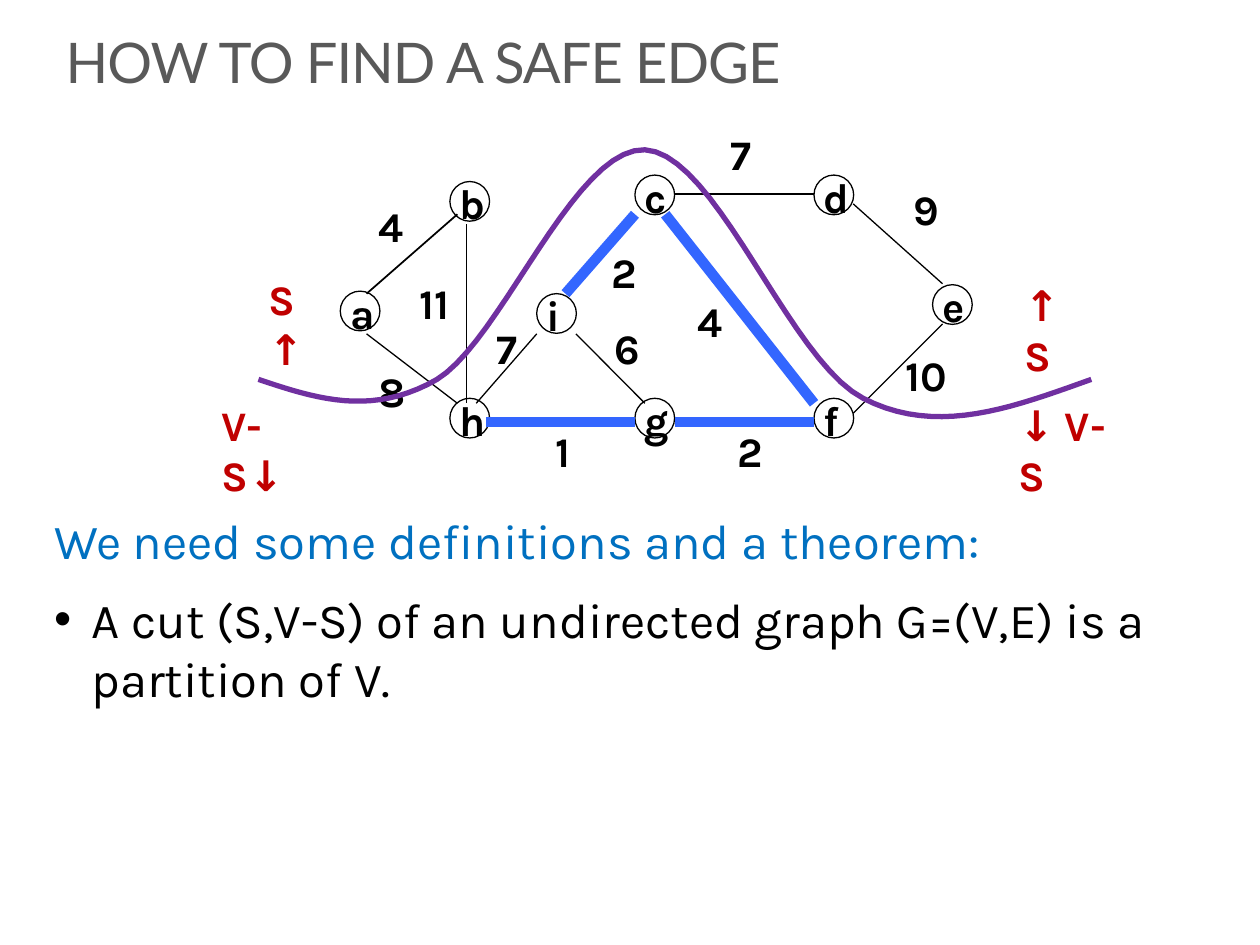
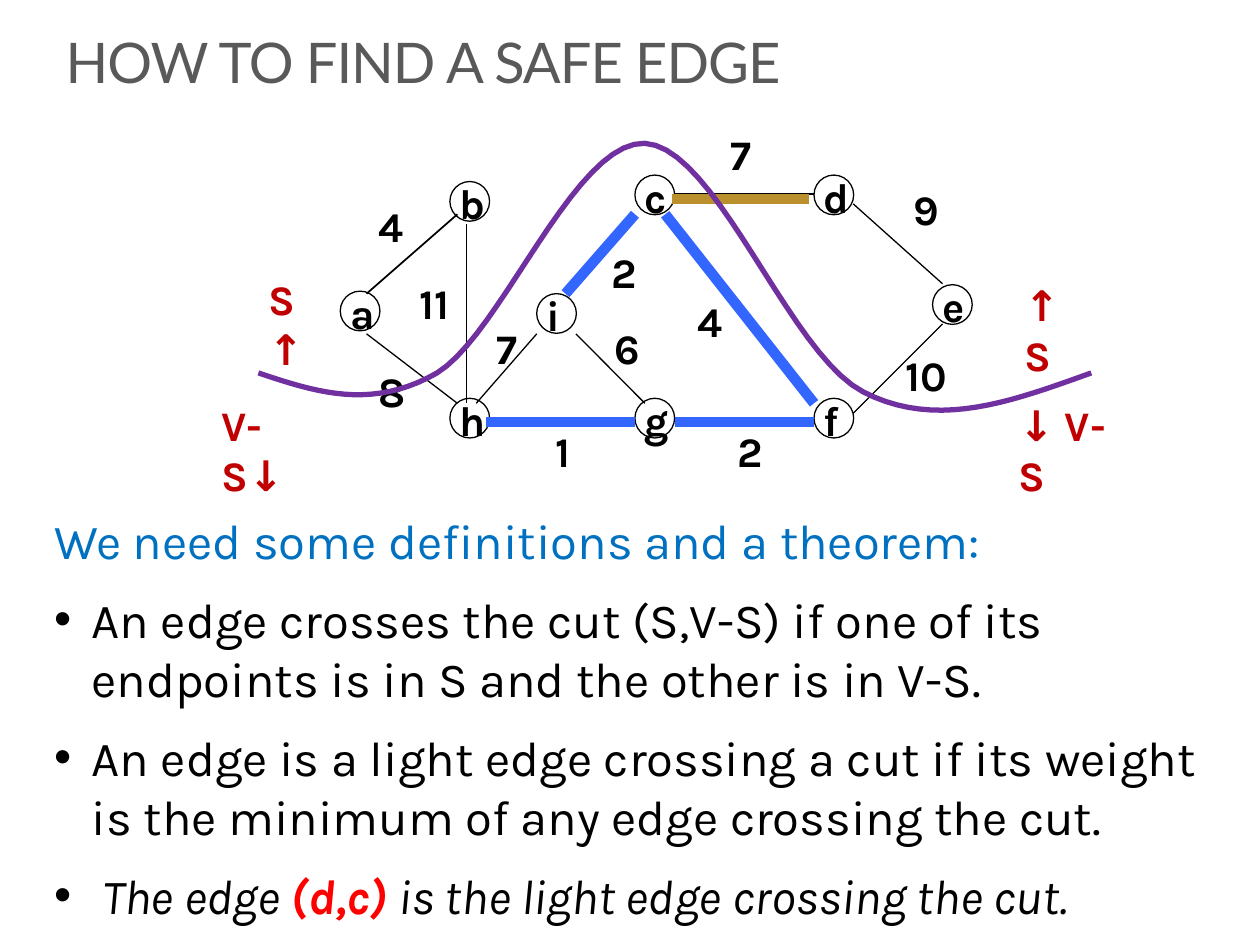
from lxml import etree
from pptx import Presentation
from pptx import util as u
from pptx.dml.color import RGBColor
from pptx.enum import shapes, text
from pptx.oxml import ns

Cm, Pt = u.Cm, u.Pt
colour = RGBColor.from_string
BLACK, GREY, RED, BLUE = "000000", "595959", "C00000", "0070C0"
TREE, LIGHT, CUT, ACCENT = "3366FF", "BA8F2D", "7030A0", "FF0000"

# The graph, in centimetres: top left corner of each vertex
DIAMETER = 0.8
vertices = {
    "a": (6.86, 5.87), "b": (9.07, 3.66), "c": (12.8, 3.53),
    "d": (16.41, 3.53), "e": (18.8, 5.74), "f": (16.41, 8.03),
    "g": (12.8, 8.03), "h": (9.07, 8.03), "i": (10.82, 5.92),
}

# Edges: start, end, colour, width
edges = [
    (7.39, 5.92, 9.22, 4.32, BLACK, 1),
    (7.39, 6.73, 9.22, 8.13, BLACK, 0.75),
    (9.4, 4.52, 9.4, 8.13, BLACK, 0.75),
    (9.8, 8.51, 12.8, 8.51, TREE, 6),
    (13.61, 8.51, 16.41, 8.51, TREE, 6),
    (13.41, 4.32, 16.41, 8.13, TREE, 6),
    (13.61, 3.91, 16.41, 3.91, BLACK, 0.75),
    (17.2, 4.11, 19, 5.72, BLACK, 0.75),
    (17.2, 8.33, 19, 6.53, BLACK, 0.75),
    (11.61, 6.73, 13, 8.13, BLACK, 0.75),
    (9.6, 8.13, 10.82, 6.73, BLACK, 0.75),
    (11.4, 5.92, 12.8, 4.32, TREE, 6),
]
light_edge = (13.54, 4.01, 16.31, 4.01, LIGHT, 6)

# Labels: text, left, top, width, colour
labels = [(name, x - 0.05, y - 0.2, 1, BLACK) for name, (x, y) in vertices.items()]
labels += [
    ("4", 7.39, 3.91, 1, BLACK), ("7", 14.48, 2.46, 1, BLACK),
    ("9", 18.16, 3.58, 1, BLACK), ("10", 18.01, 6.93, 1.5, BLACK),
    ("4", 13.82, 5.84, 1, BLACK), ("2", 12.07, 4.85, 1, BLACK),
    ("2", 14.61, 8.46, 1, BLACK), ("6", 12.14, 6.38, 1, BLACK),
    ("1", 10.95, 8.46, 1, BLACK), ("7", 9.75, 6.38, 1, BLACK),
    ("11", 8.2, 5.46, 1.5, BLACK), ("8", 7.39, 7.24, 1, BLACK),
    ("V-S↓", 4.22, 7.92, 2.31, RED), ("S↑", 5.16, 5.38, 1.4, RED),
    ("↑ S", 20.4, 5.51, 1.63, RED), ("↓ V-S", 20.29, 7.92, 2.57, RED),
]

# The cut: a start point, then two control points and an end for each curve
cut_points = [
    (5.21, 7.65), (6.35, 8.03), (7.49, 8.41), (8.81, 7.65),
    (10.11, 6.86), (11.58, 2.97), (13, 3.02),
    (14.45, 3.1), (15.9, 7.26), (17.4, 8.03),
    (18.9, 8.81), (20.45, 8.2), (22, 7.65),
]
STEPS = 20

# What differs by slide: bullets as lists of (text, format), cut shift, extra edges
pages = [
    ([[("A cut (S,V-S) of an undirected graph G=(V,E) is a partition of V.", {})]],
     0, []),
    ([[("An edge crosses the cut (S,V-S) if one of its endpoints is in S "
        "and the other is in V-S.", {})],
      [("An edge is a light edge crossing a cut if its weight is the minimum "
        "of any edge crossing the cut.", {})],
      [(" The edge ", {"italic": True}),
       ("(d,c)", {"italic": True, "bold": True, "ink": ACCENT}),
       (" is the light edge crossing the cut.", {"italic": True})]],
     -0.13, [light_edge]),
]


def write(para, words, size=28, ink=BLACK, face="Karla", bold=False, italic=False):
    span = para.add_run()
    span.text = words
    font = span.font
    font.name, font.size, font.bold, font.italic = face, Pt(size), bold, italic
    font.color.rgb = colour(ink)
    return span


def stroke(shape, ink, width):
    shape.line.color.rgb = colour(ink)
    shape.line.width = Pt(width)
    etree.SubElement(shape._element.spPr, ns.qn("a:effectLst"))


deck = Presentation()
deck.slide_width, deck.slide_height = Cm(25.4), Cm(19.05)

for bullets, cut_shift, extra_edges in pages:
    page = deck.slides.add_slide(deck.slide_layouts[5])

    # Title
    title = page.shapes.title
    title.left, title.top, title.width, title.height = Cm(1.07), Cm(0.43), Cm(21.16), Cm(2.34)
    frame = title.text_frame
    frame.auto_size = text.MSO_AUTO_SIZE.NONE
    frame.vertical_anchor = text.MSO_ANCHOR.TOP
    frame.paragraphs[0].alignment = text.PP_ALIGN.LEFT
    span = write(frame.paragraphs[0], "HOW TO FIND A SAFE EDGE", size=32, ink=GREY, face="Lato")
    span.font._element.set("spc", "-60")

    # Vertices
    for x, y in vertices.values():
        circle = page.shapes.add_shape(shapes.MSO_SHAPE.OVAL, Cm(x), Cm(y), Cm(DIAMETER), Cm(DIAMETER))
        circle.fill.background()
        stroke(circle, BLACK, 0.75)

    # Edges
    for x1, y1, x2, y2, ink, width in edges + extra_edges:
        edge = page.shapes.add_connector(
            shapes.MSO_CONNECTOR.STRAIGHT, Cm(x1), Cm(y1), Cm(x2), Cm(y2))
        stroke(edge, ink, width)

    # Vertex names, weights and sides of the cut
    for words, x, y, width, ink in labels:
        box = page.shapes.add_textbox(Cm(x), Cm(y), Cm(width), Cm(1.3))
        box.text_frame.word_wrap = True
        write(box.text_frame.paragraphs[0], words, size=24, ink=ink, bold=True)

    # Cut curve, traced through its cubic segments
    trace = []
    for start in range(0, len(cut_points) - 1, 3):
        corners = cut_points[start:start + 4]
        for step in range(1, STEPS + 1):
            t = step / STEPS
            weights = ((1 - t) ** 3, 3 * t * (1 - t) ** 2, 3 * t ** 2 * (1 - t), t ** 3)
            x = sum(w * corner[0] for w, corner in zip(weights, corners))
            y = sum(w * corner[1] for w, corner in zip(weights, corners))
            trace.append((Cm(x), Cm(y + cut_shift)))
    first_x, first_y = cut_points[0]
    builder = page.shapes.build_freeform(Cm(first_x), Cm(first_y + cut_shift))
    builder.add_line_segments(trace, close=False)
    curve = builder.convert_to_shape()
    curve.fill.background()
    stroke(curve, CUT, 3)

    # Definitions
    box = page.shapes.add_textbox(Cm(0.84), Cm(10.16), Cm(24.56), Cm(7.19))
    frame = box.text_frame
    frame.word_wrap = True
    para = frame.paragraphs[0]
    para.space_after = Pt(6)
    write(para, "We need some definitions and a theorem:", ink=BLUE)
    for spans in bullets:
        para = frame.add_paragraph()
        para.space_before, para.space_after = Pt(5.6), Pt(6)
        props = para._p.get_or_add_pPr()
        props.set("marL", str(Cm(0.76)))
        props.set("indent", str(-Cm(0.76)))
        etree.SubElement(props, ns.qn("a:buFont"), typeface="Arial")
        etree.SubElement(props, ns.qn("a:buChar"), char="•")
        for words, form in spans:
            write(para, words, **form)

deck.save("out.pptx")
